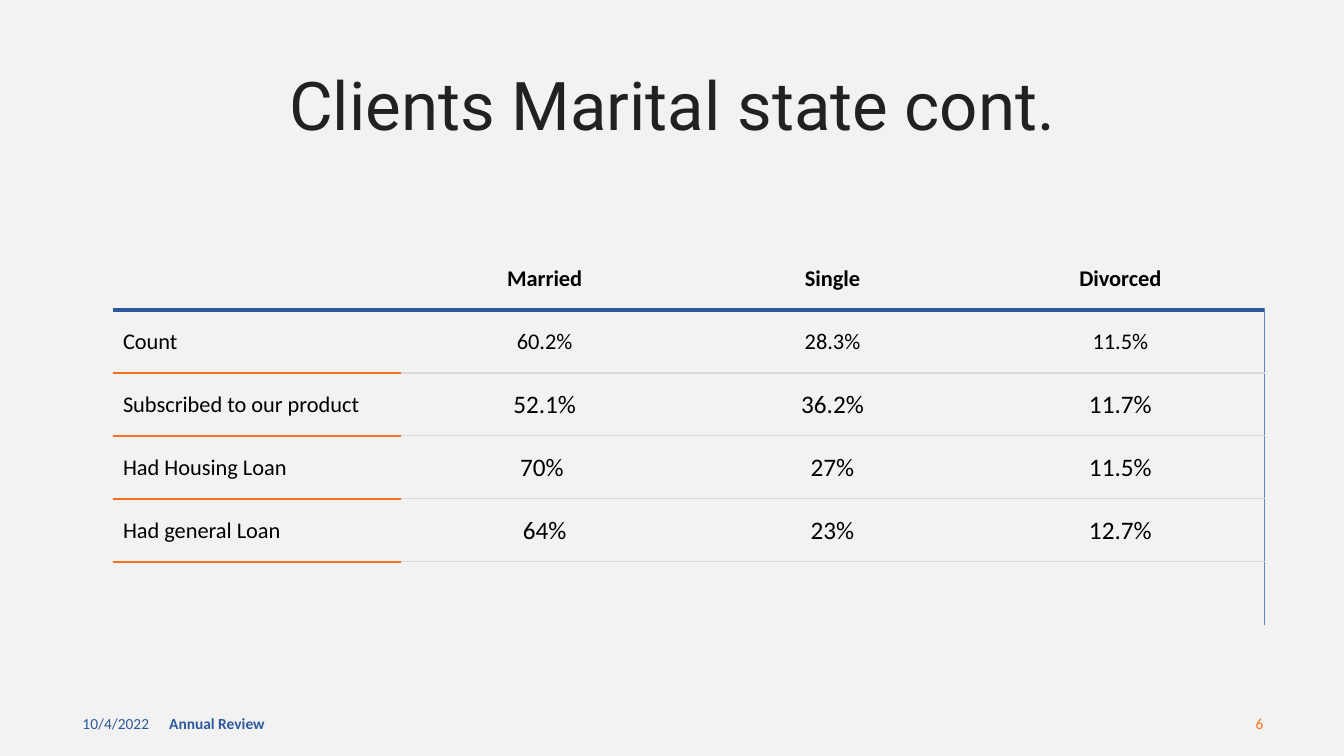
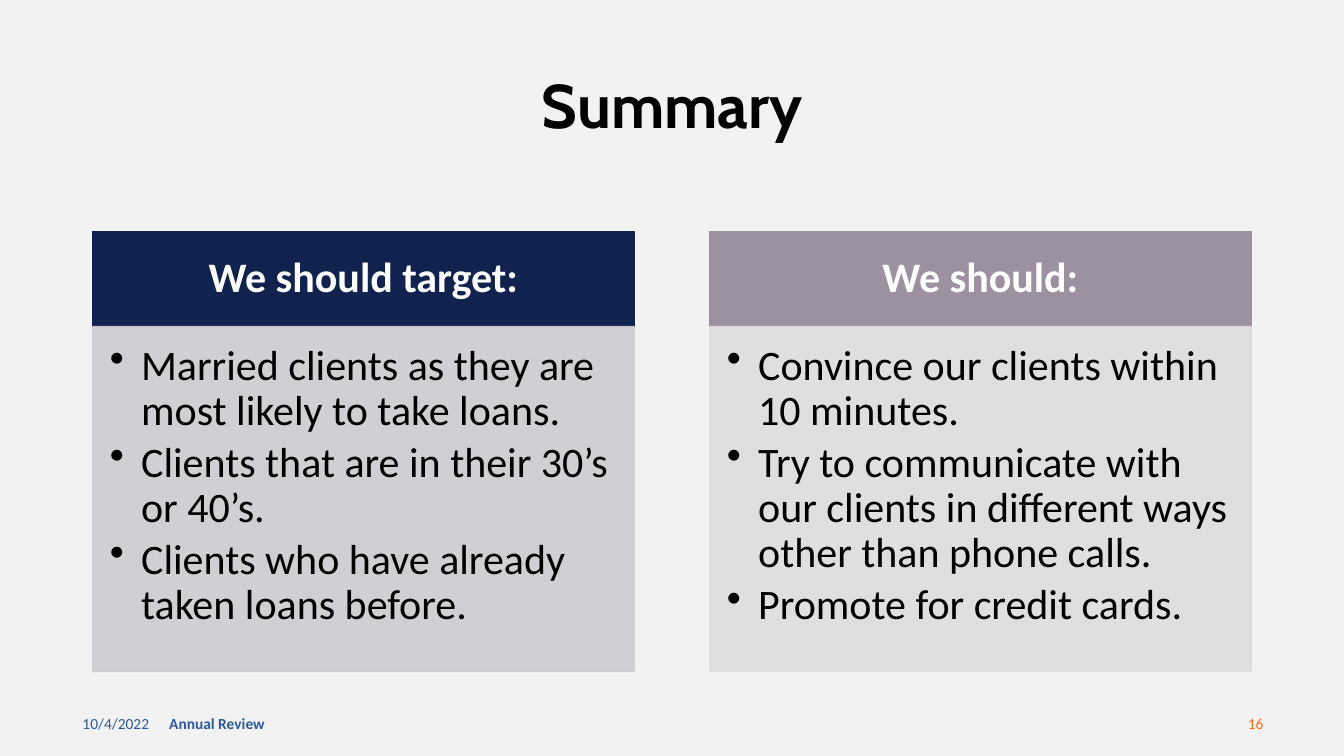
from lxml import etree
from pptx import Presentation
from pptx.dml.color import RGBColor
from pptx.enum.shapes import MSO_SHAPE
from pptx.enum.text import MSO_ANCHOR, MSO_AUTO_SIZE, PP_ALIGN
from pptx.oxml.ns import qn
from pptx.util import Inches, Pt

LEFT, CENTER, RIGHT = PP_ALIGN.LEFT, PP_ALIGN.CENTER, PP_ALIGN.RIGHT
TOP, MIDDLE = MSO_ANCHOR.TOP, MSO_ANCHOR.MIDDLE
NO_FIT = MSO_AUTO_SIZE.NONE
RECT = MSO_SHAPE.RECTANGLE

PAPER = RGBColor(0xF2, 0xF2, 0xF2)
BLACK = RGBColor(0, 0, 0)
WHITE = RGBColor(0xFF, 0xFF, 0xFF)
CHARCOAL = RGBColor(0x21, 0x21, 0x21)
BLUE = RGBColor(0x2C, 0x59, 0x9D)
LIGHT_BLUE = RGBColor(0x5C, 0x83, 0xC4)
ORANGE = RGBColor(0xFA, 0x6F, 0x1A)
GREY = RGBColor(0xD9, 0xD9, 0xD9)
NAVY = RGBColor(0x11, 0x22, 0x4E)
NAVY_TINT = RGBColor(0xCC, 0xCD, 0xD0)
MAUVE = RGBColor(0x9D, 0x90, 0xA0)
MAUVE_TINT = RGBColor(0xDF, 0xDC, 0xE0)

BODY_FONT = "Calibri"
TITLE_BOX = (0.92, 0.69, 11.5, 0.77)
TABLE_BOX = (1.12, 2.45, 11.42, 3.75)
PANELS_BOX = (0.92, 2.3, 11.49, 4.36)
FOOTER_TOP, FOOTER_HEIGHT = 6.98, 0.4
PLAIN_STYLE = "{2D5ABB26-0587-4C30-8999-92F81FD0307C}"

HEADER_RULE, LABEL_RULE = (BLUE, 3), (ORANGE, 1.5)
CELL_RULE, EDGE_RULE = (GREY, 1), (LIGHT_BLUE, 0.5)

MARITAL_ROWS = [
    ["", "Married", "Single", "Divorced"],
    ["Count", "60.2%", "28.3%", "11.5%"],
    ["Subscribed to our product", "52.1%", "36.2%", "11.7%"],
    ["Had Housing Loan", "70% ", "27%", "11.5%"],
    ["Had general Loan", "64%", "23%", "12.7%"],
    ["", "", "", ""],
]
SUMMARY_PANELS = [
    ("We should target:", NAVY, NAVY_TINT, [
        "Married clients as they are most likely to take loans.",
        "Clients that are in their 30’s or 40’s.",
        "Clients who have already taken loans before.",
    ]),
    ("We should:", MAUVE, MAUVE_TINT, [
        "Convince our clients within 10 minutes.",
        "Try to communicate with our clients in different ways other than phone calls.",
        "Promote for credit cards.",
    ]),
]


def inches(box):
    return [Inches(v) for v in box]


def write(p, text, size, color, align=LEFT, bold=False, font=BODY_FONT):
    p.alignment = align
    r = p.add_run()
    r.text = text
    for name, value in {"name": font, "size": Pt(size), "bold": bold}.items():
        setattr(r.font, name, value)
    r.font.color.rgb = color


def add_title(s, text, size, color, bold, font):
    title = s.shapes.title
    title.left, title.top, title.width, title.height = inches(TITLE_BOX)
    tf = title.text_frame
    tf.auto_size, tf.vertical_anchor = NO_FIT, MIDDLE
    p = tf.paragraphs[0]
    p.line_spacing = 0.9
    write(p, text, size, color, CENTER, bold, font)


def add_footer(s, number):
    parts = [
        (0.72, 3, "10/4/2022", BLUE, LEFT, False),
        (1.58, 4.5, "Annual Review", BLUE, LEFT, True),
        (9.63, 3, number, ORANGE, RIGHT, False),
    ]
    for x, w, text, color, align, bold in parts:
        box = s.shapes.add_textbox(*inches((x, FOOTER_TOP, w, FOOTER_HEIGHT)))
        tf = box.text_frame
        tf.word_wrap, tf.vertical_anchor = True, MIDDLE
        write(tf.paragraphs[0], text, 11, color, align, bold)


def add_slide(prs, number, *title):
    s = prs.slides.add_slide(prs.slide_layouts[5])
    add_title(s, *title)
    add_footer(s, number)
    return s


def set_border(cell, tag, rule):
    color, width = rule
    ln = etree.SubElement(cell._tc.get_or_add_tcPr(), qn(tag), w=str(Pt(width)))
    fill = etree.SubElement(ln, qn("a:solidFill"))
    etree.SubElement(fill, qn("a:srgbClr"), val=str(color))


def rule_below(row, col, last_row):
    if row == 0:
        return HEADER_RULE
    if row == last_row:
        return None
    return LABEL_RULE if col == 0 else CELL_RULE


def add_table(s, box, rows):
    last_row, last_col = len(rows) - 1, len(rows[0]) - 1
    frame = s.shapes.add_table(len(rows), len(rows[0]), *inches(box))
    table = frame.table
    table.first_row = table.horz_banding = False
    table._tbl.tblPr.find(qn("a:tableStyleId")).text = PLAIN_STYLE
    for i, row in enumerate(rows):
        for j, text in enumerate(row):
            cell = table.cell(i, j)
            borders = {
                "a:lnR": EDGE_RULE if i and j == last_col else None,
                "a:lnT": rule_below(i - 1, j, last_row) if i else None,
                "a:lnB": rule_below(i, j, last_row),
            }
            for tag, rule in borders.items():
                if rule:
                    set_border(cell, tag, rule)
            cell.fill.background()
            cell.vertical_anchor = MIDDLE
            if text:
                size = 18 if i > 1 and j else 16
                write(cell.text_frame.paragraphs[0], text, size, BLACK,
                      CENTER if j else LEFT, i == 0)


def set_alpha(shape, percent):
    for color in shape._element.spPr.iter(qn("a:srgbClr")):
        etree.SubElement(color, qn("a:alpha"), val=str(percent * 1000))


def add_block(s, box, color, anchor, margins):
    shape = s.shapes.add_shape(RECT, *inches(box))
    shape.shadow.inherit = False
    shape.fill.solid()
    shape.fill.fore_color.rgb = color
    shape.line.color.rgb = color
    shape.line.width = Pt(1)
    tf = shape.text_frame
    tf.word_wrap, tf.vertical_anchor = True, anchor
    for side, value in zip(("left", "top", "right", "bottom"), margins):
        setattr(tf, "margin_" + side, Inches(value))
    return shape


def add_bullet(p, text):
    p.line_spacing, p.space_after = 0.9, Pt(4.5)
    pPr = p._p.get_or_add_pPr()
    pPr.set("marL", str(Inches(0.31)))
    pPr.set("indent", str(-Inches(0.31)))
    etree.SubElement(pPr, qn("a:buChar"), char="•")
    write(p, text, 30, BLACK)


def add_panel(s, box, heading, color, tint, bullets):
    x, y, w, h = box
    head = 0.94
    header = add_block(s, (x, y, w, head), color, MIDDLE, (0.23, 0.13, 0.23, 0.13))
    p = header.text_frame.paragraphs[0]
    p.line_spacing = 0.9
    write(p, heading, 30, WHITE, CENTER, True)
    body = add_block(s, (x, y + head, w, h - head), tint, TOP, (0.17, 0.17, 0.23, 0.26))
    set_alpha(body, 90)
    tf = body.text_frame
    for i, text in enumerate(bullets):
        add_bullet(tf.add_paragraph() if i else tf.paragraphs[0], text)


def add_panels(s, box, panels, gap=0.75):
    x, y, w, h = box
    width = (w - gap * (len(panels) - 1)) / len(panels)
    for i, panel in enumerate(panels):
        add_panel(s, (x + i * (width + gap), y, width, h), *panel)


def main():
    prs = Presentation()
    prs.slide_width, prs.slide_height = Inches(13.33), Inches(7.5)
    background = prs.slide_master.background.fill
    background.solid()
    background.fore_color.rgb = PAPER

    s = add_slide(prs, "6", "Clients Marital state cont.", 48, CHARCOAL, False, "Roboto")
    add_table(s, TABLE_BOX, MARITAL_ROWS)

    s = add_slide(prs, "16", "Summary", 44, BLACK, True, "Cabin")
    add_panels(s, PANELS_BOX, SUMMARY_PANELS)

    prs.save("out.pptx")


if __name__ == "__main__":
    main()
